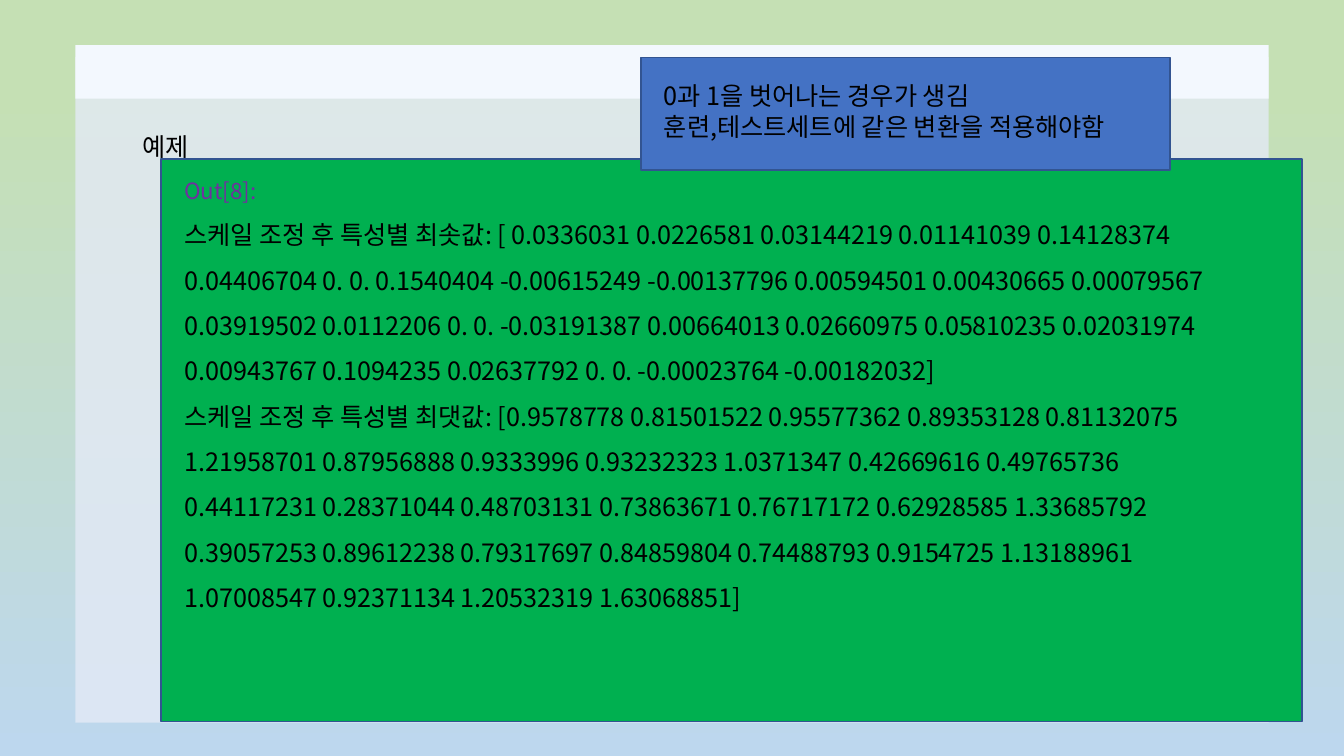
from dataclasses import dataclass

from lxml.etree import SubElement
from pptx import Presentation
from pptx.dml.color import RGBColor
from pptx.enum.shapes import MSO_SHAPE
from pptx.enum.text import MSO_ANCHOR, MSO_AUTO_SIZE, PP_ALIGN
from pptx.oxml.ns import qn
from pptx.util import Cm, Pt


@dataclass(frozen=True)
class Theme:
    """Colours, font and type sizes of the deck."""
    sky_top: str = "C5E0B4"
    sky_bottom: str = "BDD7EE"
    panel: str = "E4EAF6"
    band: str = "F3F8FE"
    output: str = "00B050"
    note: str = "4472C4"
    border: str = "325491"
    ink: str = "000000"
    prompt: str = "7030A0"
    font: str = "Noto Sans CJK KR"
    text_size: int = 18
    prompt_size: int = 16


THEME = Theme()
HEADING = "예제"
NOTE = "0과 1을 벗어나는 경우가 생김\n훈련,테스트세트에 같은 변환을 적용해야함"
PROMPT = "Out[8]:"
MINIMA = (
    "스케일 조정 후 특성별 최솟값: [ 0.0336031 0.0226581 0.03144219 0.01141039 "
    "0.14128374 0.04406704 0. 0. 0.1540404 -0.00615249 -0.00137796 0.00594501 "
    "0.00430665 0.00079567 0.03919502 0.0112206 0. 0. -0.03191387 0.00664013 "
    "0.02660975 0.05810235 0.02031974 0.00943767 0.1094235 0.02637792 0. 0.\t"
    "-0.00023764 -0.00182032]"
)
MAXIMA = (
    "스케일 조정 후 특성별 최댓값: [0.9578778 0.81501522 0.95577362 0.89353128 "
    "0.81132075 1.21958701 0.87956888 0.9333996 0.93232323 1.0371347 0.42669616 "
    "0.49765736 0.44117231 0.28371044 0.48703131 0.73863671 0.76717172 0.62928585 "
    "1.33685792 0.39057253 0.89612238 0.79317697 0.84859804 0.74488793 0.9154725 "
    "1.13188961 1.07008547 0.92371134 1.20532319 1.63068851]"
)


def place(shape, box):
    """Move a shape to a box of left, top, width and height in centimetres."""
    shape.left, shape.top, shape.width, shape.height = map(Cm, box)


def bring_to_front(shape):
    """Put a shape above everything drawn so far."""
    shape.element.getparent().append(shape.element)


def add_block(page, box, colour, border=None, opacity=100):
    """Draw a flat rectangle."""
    block = page.shapes.add_shape(MSO_SHAPE.RECTANGLE, *map(Cm, box))
    block.shadow.inherit = False
    block.fill.solid()
    block.fill.fore_color.rgb = RGBColor.from_string(colour)
    if opacity < 100:
        tint = block.fill._xPr.find(".//" + qn("a:srgbClr"))
        SubElement(tint, qn("a:alpha"), val=str(opacity * 1000))
    if border:
        block.line.color.rgb = RGBColor.from_string(border)
        block.line.width = Pt(1)
    else:
        block.line.fill.background()


def write(shape, text, line_spacing=1.0):
    """Set left-aligned plain text in the theme style."""
    frame = shape.text_frame
    frame.text = text
    frame.word_wrap = True
    frame.auto_size = MSO_AUTO_SIZE.NONE
    frame.vertical_anchor = MSO_ANCHOR.TOP
    for para in frame.paragraphs:
        para.alignment = PP_ALIGN.LEFT
        para.line_spacing = line_spacing
        para.space_before = para.space_after = Pt(0)
        for span in para.runs:
            style_span(span, THEME.ink, THEME.text_size)


def style_span(span, colour, size):
    """Give a run its font, colour and size."""
    span.font.size = Pt(size)
    span.font.color.rgb = RGBColor.from_string(colour)
    span.font.name = THEME.font
    properties = span.font._element
    if properties.find(qn("a:ea")) is None:
        SubElement(properties, qn("a:ea"), typeface=THEME.font)


def draw_backdrop(page, box):
    """Fill the page with a gradient and lay the pale panel and its top band."""
    fill = page.background.fill
    fill.gradient()
    fill.gradient_angle = 270
    stops = zip(fill.gradient_stops, (0.12, 1), (THEME.sky_top, THEME.sky_bottom))
    for stop, position, colour in stops:
        stop.position = position
        stop.color.rgb = RGBColor.from_string(colour)
    left, top, width, height = box
    add_block(page, (left, top + 0.3, width, height - 0.3), THEME.panel, opacity=80)
    add_block(page, (left, top, width, 1.35), THEME.band)


def draw_heading(page, box):
    """Place the slide title."""
    title = page.shapes.title
    place(title, box)
    write(title, HEADING, 1.5)
    bring_to_front(title)


def draw_output(page, box):
    """Show the printed result on a green block."""
    left, top, width, height = box
    add_block(page, box, THEME.output, THEME.border)
    body = page.placeholders[1]
    place(body, (left + 0.33, top, width - 1.17, height - 0.33))
    write(body, "\n".join((PROMPT, MINIMA, MAXIMA)), 1.5)
    for para in body.text_frame.paragraphs:
        properties = para._p.get_or_add_pPr()
        properties.set("marL", "0")
        properties.set("indent", "0")
        SubElement(properties, qn("a:buNone"))
        tabs = SubElement(properties, qn("a:tabLst"))
        SubElement(tabs, qn("a:tab"), pos=str(Cm(12.42)), algn="l")
    prompt = body.text_frame.paragraphs[0].runs[0]
    style_span(prompt, THEME.prompt, THEME.prompt_size)
    bring_to_front(body)


def draw_note(page, box):
    """Add the blue remark with its text."""
    left, top, width, height = box
    add_block(page, box, THEME.note, THEME.border)
    remark = page.shapes.add_textbox(
        *map(Cm, (left + 0.33, top + 0.46, width - 0.33, height - 0.46)))
    write(remark, NOTE)


def main():
    """Build and save the deck."""
    deck = Presentation()
    deck.slide_width, deck.slide_height = Cm(33.87), Cm(19.05)
    page = deck.slides.add_slide(deck.slide_layouts[1])
    draw_backdrop(page, (1.9, 1.14, 30.07, 17.07))
    draw_heading(page, (3.33, 2.79, 29.49, 1.22))
    draw_output(page, (4.06, 4.01, 28.75, 14.17))
    draw_note(page, (16.15, 1.45, 13.34, 2.84))
    deck.save("out.pptx")


if __name__ == "__main__":
    main()
